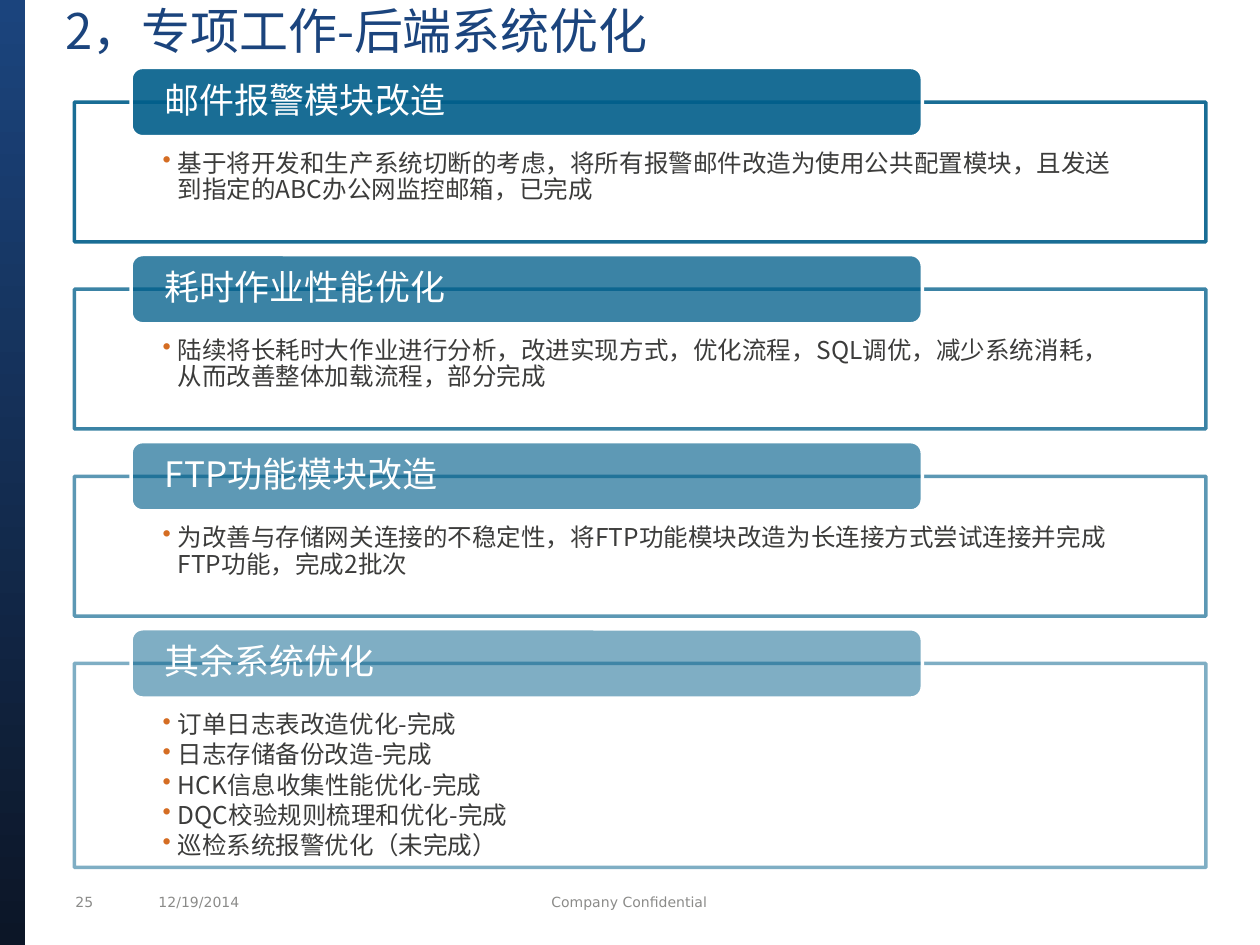
"""Build the back-end system optimisation slide."""
from dataclasses import dataclass

from lxml.etree import SubElement
from pptx import Presentation
from pptx.dml.color import RGBColor as RGB
from pptx.enum.shapes import MSO_SHAPE as SHAPE
from pptx.enum.text import MSO_ANCHOR as ANCHOR, PP_ALIGN as ALIGN
from pptx.oxml.ns import qn
from pptx.util import Inches, Pt

COLORS = {"white": "FFFFFF", "navy": "1B447D", "night": "0C1627", "teal": "005E8A",
          "text": "3C3C3B", "bullet": "D56D23", "footer": "8B8B89"}
CJK, LATIN = "Noto Sans CJK SC", "DejaVu Sans"
COLS, ROWS = 100, 75
PANEL_TOP, PANEL_PITCH, TAB_RISE = 8.1, 14.85, 2.75


@dataclass(frozen=True)
class Box:
    """An area in grid columns and rows."""
    col: float
    row: float
    cols: float
    rows: float


@dataclass(frozen=True)
class Section:
    """A titled panel with its bullet points."""
    title: str
    points: tuple[str, ...]
    alpha: int
    rows: float = 11.1


@dataclass(frozen=True)
class Footer:
    """A small line of text at the foot."""
    text: str
    box: Box
    align: ALIGN = ALIGN.LEFT


SECTIONS = (
    Section("邮件报警模块改造",
            ("基于将开发和生产系统切断的考虑，将所有报警邮件改造为使用公共配置模块，"
             "且发送到指定的ABC办公网监控邮箱，已完成",), 90),
    Section("耗时作业性能优化",
            ("陆续将长耗时大作业进行分析，改进实现方式，优化流程，SQL调优，减少系统消耗，"
             "从而改善整体加载流程，部分完成",), 77),
    Section("FTP功能模块改造",
            ("为改善与存储网关连接的不稳定性，将FTP功能模块改造为长连接方式尝试连接并完成"
             "FTP功能，完成2批次",), 63),
    Section("其余系统优化",
            ("订单日志表改造优化-完成", "日志存储备份改造-完成", "HCK信息收集性能优化-完成",
             "DQC校验规则梳理和优化-完成", "巡检系统报警优化（未完成）"), 50, 16.2),
)
FOOTERS = (
    Footer("25", Box(5, 70.4, 5, 2.4)),
    Footer("12/19/2014", Box(11.6, 70.4, 16.7, 2.4)),
    Footer("Company Confidential", Box(29.1, 70.4, 41.7, 2.4), ALIGN.CENTER),
)


def place(prs, box: Box) -> tuple[int, int, int, int]:
    """Turn a grid area into slide lengths."""
    w, h = prs.slide_width / COLS, prs.slide_height / ROWS
    return int(box.col * w), int(box.row * h), int(box.cols * w), int(box.rows * h)


def set_alpha(fill, alpha: int) -> None:
    """Give a solid fill an opacity in percent."""
    color = fill._xPr.find(qn("a:solidFill"))[0]
    SubElement(color, qn("a:alpha"), val=str(alpha * 1000))


def add_bullet(p) -> None:
    """Give a paragraph a hanging coloured bullet."""
    pPr = p._p.get_or_add_pPr()
    pPr.set("marL", str(Inches(0.12)))
    pPr.set("indent", str(Inches(-0.12)))
    SubElement(SubElement(pPr, qn("a:buClr")), qn("a:srgbClr"), val=COLORS["bullet"])
    SubElement(pPr, qn("a:buChar"), char="•")


def write(sp, *lines: str, size: float, color: str, font: str = CJK,
          align: ALIGN = ALIGN.LEFT, anchor: ANCHOR = ANCHOR.TOP,
          insets: tuple[float, ...] = (0.1, 0.05, 0.1, 0.05),
          spacing: float = 1.0, after: float = 0, bullets: bool = False) -> None:
    """Write formatted paragraphs into a shape."""
    tf = sp.text_frame
    tf.word_wrap, tf.vertical_anchor = True, anchor
    tf.margin_left, tf.margin_top, tf.margin_right, tf.margin_bottom = map(Inches, insets)
    for i, line in enumerate(lines):
        p = tf.add_paragraph() if i else tf.paragraphs[0]
        if bullets:
            add_bullet(p)
            p.level = 1
        p.alignment, p.line_spacing, p.space_after = align, spacing, Pt(after)
        r = p.add_run()
        r.text = line
        r.font.size, r.font.name = Pt(size), font
        r.font.color.rgb = RGB.from_string(COLORS[color])
        SubElement(r.font._element, qn("a:ea"), typeface=font)


def add_block(prs, s, kind: SHAPE, box: Box, fill: str, fill_alpha: int,
              line: str, line_alpha: int = 100):
    """Draw a filled, outlined shape."""
    sp = s.shapes.add_shape(kind, *place(prs, box))
    sp.shadow.inherit = False
    sp.line.width = Pt(2)
    for paint, color, alpha in ((sp.fill, fill, fill_alpha),
                                (sp.line.fill, line, line_alpha)):
        paint.solid()
        paint.fore_color.rgb = RGB.from_string(COLORS[color])
        set_alpha(paint, alpha)
    return sp


def add_section(prs, s, section: Section, row: float) -> None:
    """Draw a panel and the tab over its top edge."""
    panel = add_block(prs, s, SHAPE.RECTANGLE, Box(5.9, row, 89.8, section.rows),
                      "white", 90, "teal", section.alpha)
    write(panel, *section.points, size=14, color="text", insets=(0.7, 0.39, 0.7, 0.11),
          spacing=0.9, after=2.1, bullets=True)
    tab = add_block(prs, s, SHAPE.ROUNDED_RECTANGLE, Box(10.4, row - TAB_RISE, 62.8, 5.5),
                    "teal", section.alpha, "white")
    write(tab, section.title, size=20, color="white", anchor=ANCHOR.MIDDLE,
          insets=(0.24, 0, 0.24, 0), spacing=0.9)


def add_side_bar(prs, s) -> None:
    """Draw the gradient bar on the left edge."""
    sp = s.shapes.add_shape(SHAPE.RECTANGLE, *place(prs, Box(0, 0, 2, ROWS)))
    sp.shadow.inherit = False
    sp.line.fill.background()
    sp.fill.gradient()
    sp.fill.gradient_angle = 90
    for stop, position, color in zip(sp.fill.gradient_stops, (0, 1), ("night", "navy")):
        stop.position = position
        stop.color.rgb = RGB.from_string(COLORS[color])


def main() -> None:
    """Build and save the slide."""
    prs = Presentation()
    prs.slide_width, prs.slide_height = Inches(10), Inches(7.5)
    s = prs.slides.add_slide(prs.slide_layouts[6])
    for footer in FOOTERS:
        write(s.shapes.add_textbox(*place(prs, footer.box)), footer.text, size=8,
              color="footer", font=LATIN, align=footer.align, anchor=ANCHOR.MIDDLE)
    add_side_bar(prs, s)
    write(s.shapes.add_textbox(*place(prs, Box(4.2, 0, 93.3, 12.5))),
          "2，专项工作-后端系统优化", size=28, color="navy", insets=(0.1, 0, 0.1, 0))
    for i, section in enumerate(SECTIONS):
        add_section(prs, s, section, PANEL_TOP + i * PANEL_PITCH)
    prs.save("out.pptx")


if __name__ == "__main__":
    main()
